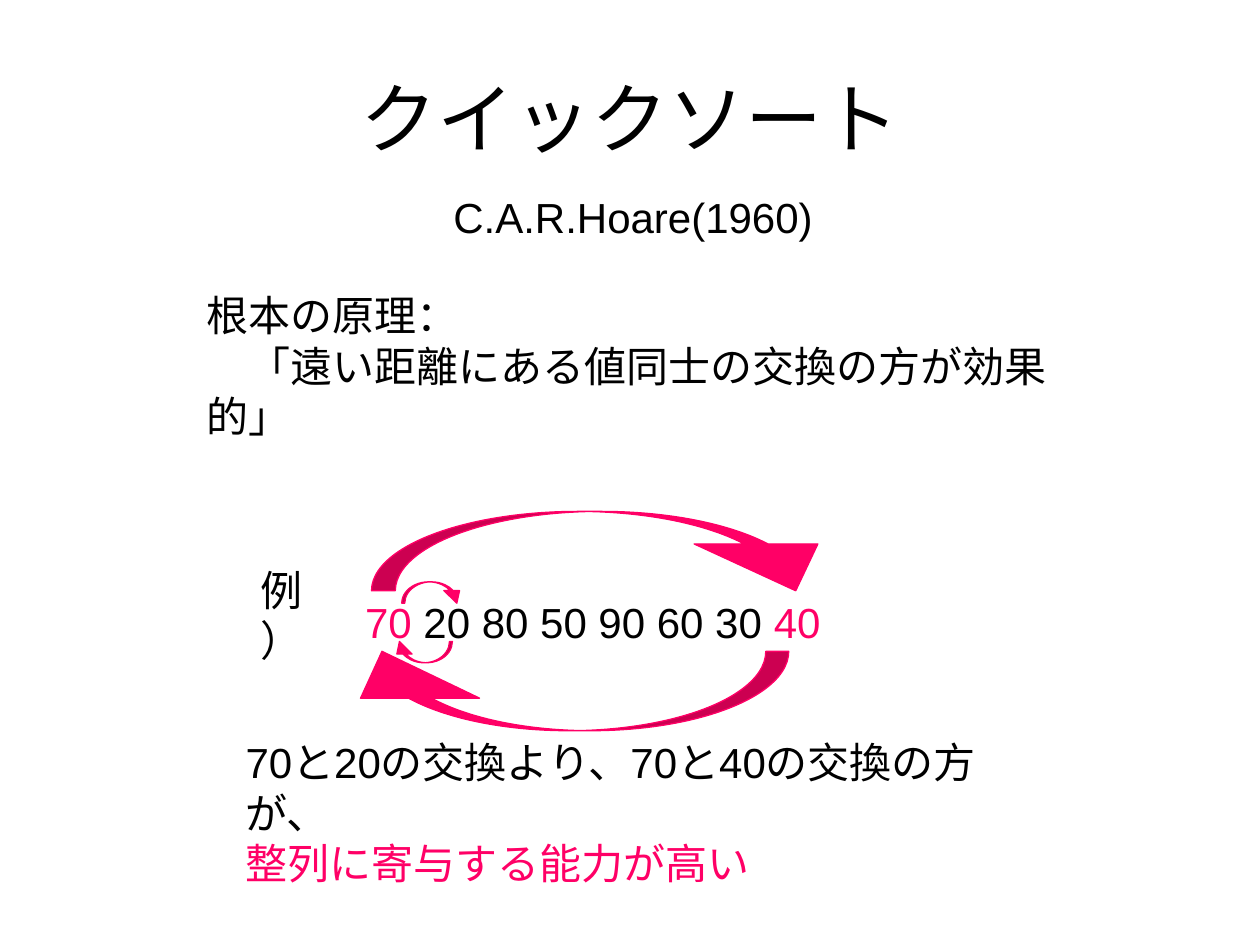
from pptx import Presentation
from pptx.dml.color import RGBColor
from pptx.enum.shapes import MSO_SHAPE
from pptx.enum.text import MSO_ANCHOR, PP_ALIGN
from pptx.util import Cm, Pt

INK, PINK = "000000", "FF0066"
TITLE = "クイックソート"
TEXTS = [
    ((3.91, 5.72, 17.75, 2.29), [
        [("根本の原理：", INK)],
        [("　「遠い距離にある値同士の交換の方が効果的」", INK)]]),
    ((7.11, 11.91, 9.78, 1.3), [
        [("70", PINK), (" 20 80 50 90 60 30 ", INK), ("40", PINK)]]),
    ((4.7, 14.73, 15.85, 2.31), [
        [("70と20の交換より、70と40の交換の方が、", INK)],
        [("整列に寄与する能力が高い", PINK)]]),
    ((5, 11.25, 1.78, 1.27), [[("例）", INK)]]),
    ((8.89, 3.73, 7.77, 1.27), [[("C.A.R.Hoare(1960)", INK)]]),
]
ARROWS = [
    ((7.49, 10.31, 9.8, 1.6), 0, (0.3, 1.56, 0.59)),
    ((6.5, 13.13, 9.4, 1.6), 180, (0.29, 1.5, 0.59)),
    ((8.1, 11.73, 1.27, 0.43), 0, (0.14, 0.74, 0.59)),
    ((7.9, 12.93, 1.22, 0.43), 180, (0.14, 0.71, 0.59)),
]
BODY = {"name": "Arial", "size": Pt(24)}
HEAD = {"name": "Calibri", "size": Pt(44)}


def paint(item, code):
    item.rgb = RGBColor.from_string(code)


def apply(item, style):
    for key, value in style.items():
        setattr(item, key, value)


def place(box):
    return [Cm(n) for n in box]


def add_run(para, text, code, style):
    run = para.add_run()
    run.text = text
    apply(run.font, style)
    paint(run.font.color, code)


def add_text(slide, box, lines):
    frame = slide.shapes.add_textbox(*place(box)).text_frame
    frame.word_wrap = True
    for i, line in enumerate(lines):
        para = frame.add_paragraph() if i else frame.paragraphs[0]
        for text, code in line:
            add_run(para, text, code, BODY)


def add_arrow(slide, box, turn, bends):
    arrow = slide.shapes.add_shape(MSO_SHAPE.CURVED_DOWN_ARROW, *place(box))
    arrow.shadow.inherit = False
    arrow.rotation = turn
    for i, bend in enumerate(bends):
        arrow.adjustments[i] = bend
    arrow.fill.solid()
    paint(arrow.fill.fore_color, PINK)
    paint(arrow.line.color, PINK)
    arrow.line.width = Pt(0.75)


def main():
    deck = Presentation()
    apply(deck, {"slide_width": Cm(25.4), "slide_height": Cm(19.05)})
    slide = deck.slides.add_slide(deck.slide_layouts[5])
    title = slide.shapes.title
    spot = place((1.27, 0.76, 22.86, 3.18))
    apply(title, dict(zip(("left", "top", "width", "height"), spot)))
    title.text_frame.vertical_anchor = MSO_ANCHOR.MIDDLE
    para = title.text_frame.paragraphs[0]
    para.alignment = PP_ALIGN.CENTER
    add_run(para, TITLE, INK, HEAD)
    for box, lines in TEXTS[:-1]:
        add_text(slide, box, lines)
    for box, turn, bends in ARROWS:
        add_arrow(slide, box, turn, bends)
    add_text(slide, *TEXTS[-1])
    deck.save("out.pptx")


if __name__ == "__main__":
    main()
